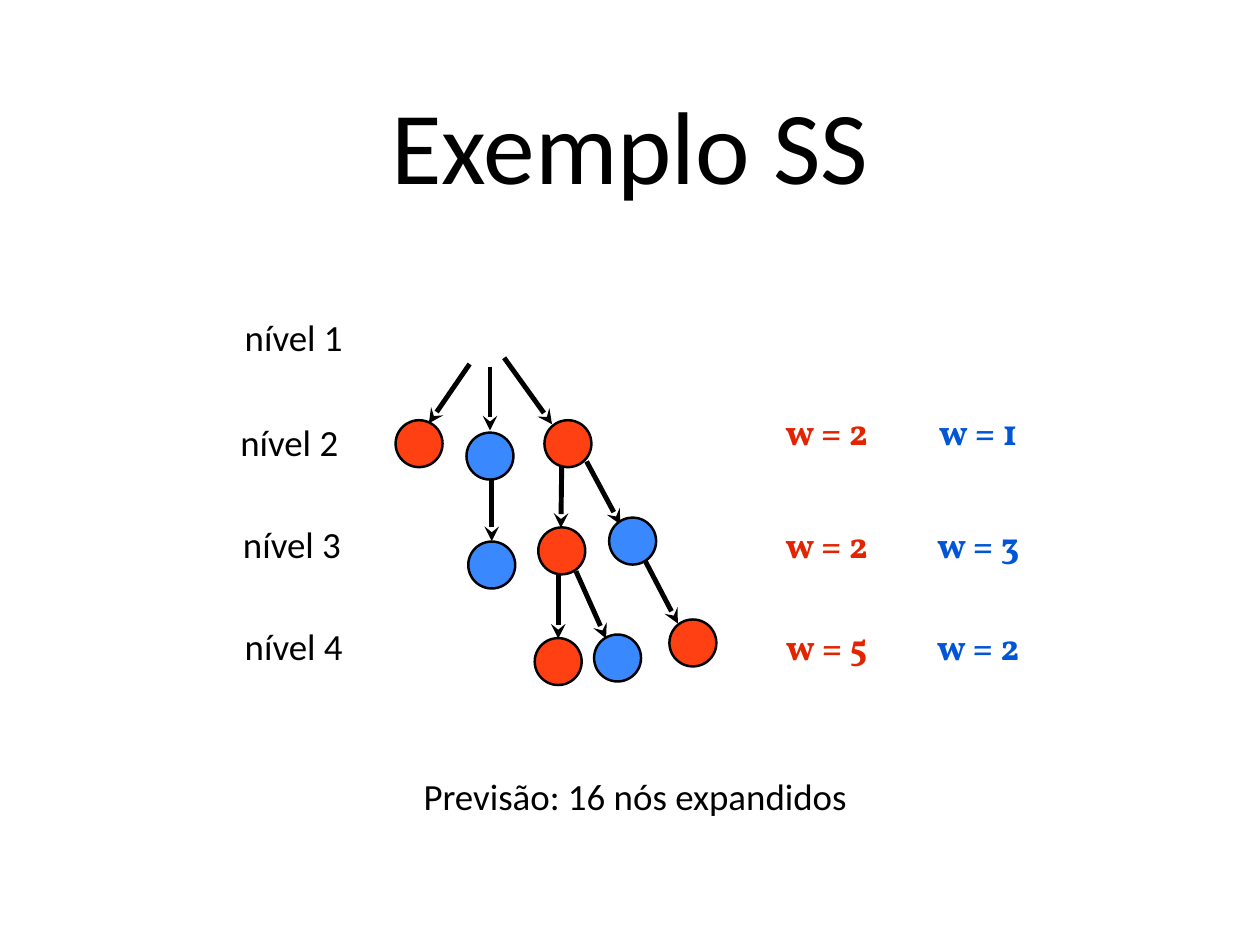
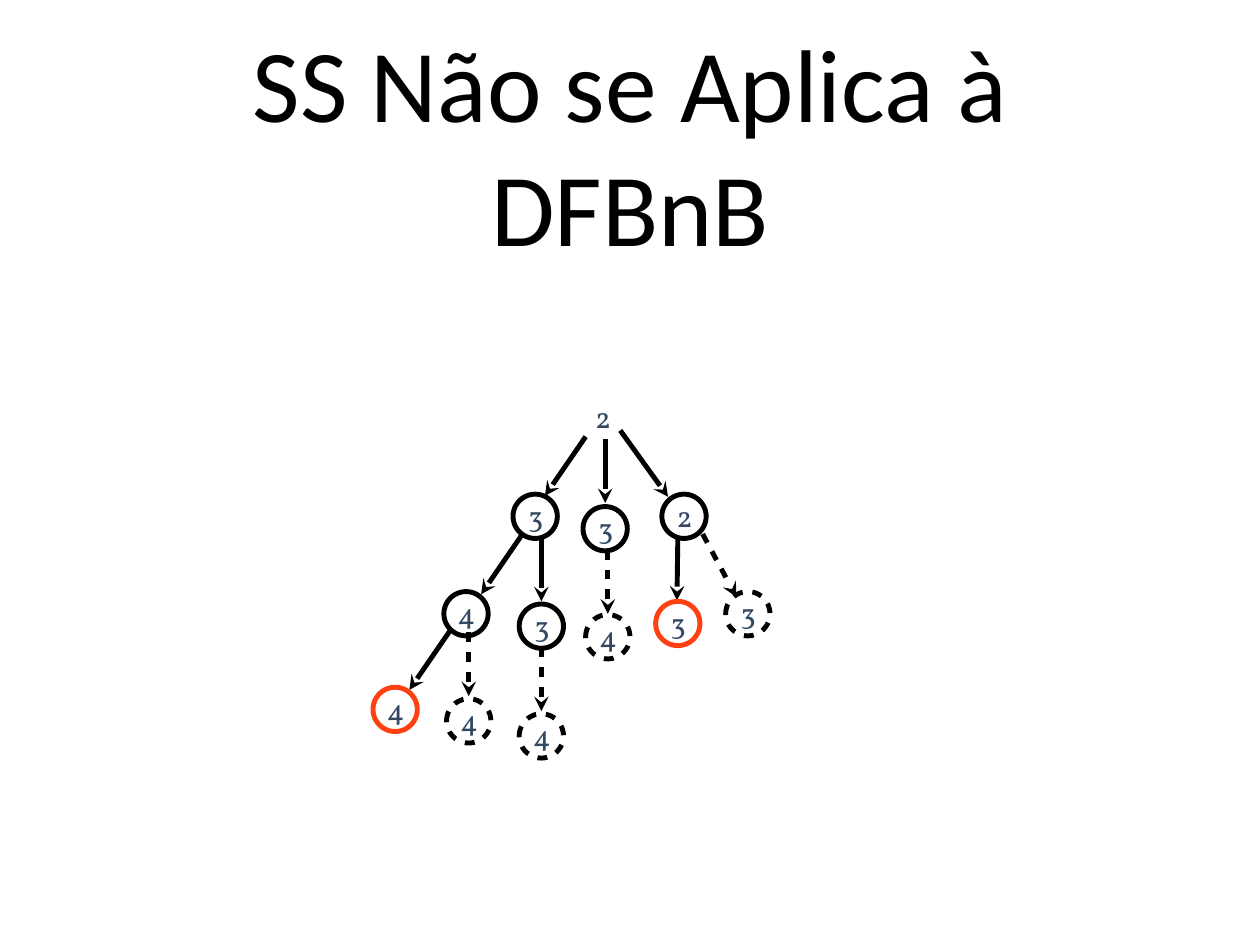
from collections import namedtuple

from pptx import Presentation
from pptx.dml.color import RGBColor
from pptx.enum import shapes, text
from pptx.oxml import ns
from pptx.oxml.xmlchemy import OxmlElement
from pptx.util import Inches, Pt


class Theme:
    black, red, blue = "000000", "FF4013", "3A88FE"
    dark_red, dark_blue, digit = "E32400", "0056D6", "324863"
    sans, serif = "Calibri", "Vollkorn"
    title, body, small = 84, 30, 24
    edge, outline = 4, 2
    node = 0.5


# One tree node with the arrow that leads to it
Node = namedtuple("Node", "x y start tip colour label dashed", defaults=(Theme.black, None, False))


def add_text(slide, words, left, top, width, height, size=Theme.body, font=Theme.sans,
             colour=Theme.black, bold=False, wrap=False, inset=0):
    tf = slide.shapes.add_textbox(Inches(left), Inches(top), Inches(width), Inches(height)).text_frame
    tf.margin_left = tf.margin_right = tf.margin_top = tf.margin_bottom = Inches(inset)
    tf.word_wrap = wrap
    tf.auto_size = text.MSO_AUTO_SIZE.NONE if wrap else text.MSO_AUTO_SIZE.SHAPE_TO_FIT_TEXT
    tf.vertical_anchor = text.MSO_ANCHOR.MIDDLE
    p = tf.paragraphs[0]
    p.alignment = text.PP_ALIGN.CENTER
    r = p.add_run()
    r.text = words
    r.font.name, r.font.size, r.font.bold = font, Pt(size), bold
    r.font.color.rgb = RGBColor.from_string(colour)


def style_line(sp, colour, width, dashed=False, arrow=False):
    """Outline a shape or connector; dashes and gaps are two line widths long."""
    sp.line.color.rgb = RGBColor.from_string(colour)
    sp.line.width = Pt(width)
    ln = sp.element.spPr.find(ns.qn("a:ln"))
    if dashed:
        dash = OxmlElement("a:custDash")
        stop = OxmlElement("a:ds")
        stop.set("d", "200000")
        stop.set("sp", "200000")
        dash.append(stop)
        ln.append(dash)
    if arrow:
        tail = OxmlElement("a:tailEnd")
        tail.set("type", "stealth")
        ln.append(tail)


sampled_tree = [
    Node(4.73, 5.01, (5.3, 4.11), (4.84, 4.78), Theme.red),
    Node(5.53, 5.15, (5.53, 4.14), (5.53, 4.86), Theme.blue),
    Node(6.41, 5.01, (5.69, 4.04), (6.23, 4.79), Theme.red),
    Node(5.55, 6.38, (5.55, 5.39), (5.55, 6.11), Theme.blue),
    Node(6.34, 6.22, (6.34, 5.24), (6.33, 5.96), Theme.red),
    Node(7.14, 6.11, (6.62, 5.21), (7, 5.92), Theme.blue),
    Node(6.3, 7.47, (6.3, 6.49), (6.3, 7.21), Theme.red),
    Node(6.97, 7.43, (6.5, 6.45), (6.84, 7.21), Theme.blue),
    Node(7.82, 7.26, (7.28, 6.33), (7.65, 7.04), Theme.red),
]
search_tree = [
    Node(6.04, 5.83, (6.61, 4.93), (6.15, 5.6), label="3"),
    Node(5.26, 6.93, (5.89, 6.04), (5.43, 6.71), label="4"),
    Node(4.46, 8.01, (5.08, 7.12), (4.62, 7.79), Theme.red, "4"),
    Node(6.11, 7.07, (6.11, 6.07), (6.11, 6.79), label="3"),
    Node(6.83, 5.97, (6.83, 4.96), (6.83, 5.68), label="3"),
    Node(7.72, 5.83, (7, 4.86), (7.54, 5.61), label="2"),
    Node(6.11, 8.31, (6.11, 7.31), (6.11, 8.03), label="4", dashed=True),
    Node(6.86, 7.19, (6.86, 6.21), (6.86, 6.93), label="4", dashed=True),
    Node(7.65, 7.04, (7.65, 6.06), (7.64, 6.78), Theme.red, "3"),
    Node(8.44, 6.93, (7.93, 6.03), (8.31, 6.74), label="3", dashed=True),
    Node(5.29, 8.14, (5.29, 7.14), (5.29, 7.86), label="4", dashed=True),
]

prs = Presentation()
prs.slide_width, prs.slide_height = Inches(14.22), Inches(10.67)

slides = []
for title, tree in (("Exemplo SS", sampled_tree), ("SS Não se Aplica à DFBnB", search_tree)):
    s = prs.slides.add_slide(prs.slide_layouts[6])
    slides.append(s)
    add_text(s, title, 1.39, 0.28, 11.44, 2.67, size=Theme.title, wrap=True, inset=0.06)

    for node in tree:
        ends = [Inches(v) for v in node.start + node.tip]
        arrow = s.shapes.add_connector(shapes.MSO_CONNECTOR.STRAIGHT, *ends)
        style_line(arrow, Theme.black, Theme.edge, node.dashed, arrow=True)
        arrow.element.spPr.append(OxmlElement("a:effectLst"))

    for node in tree:
        # Filled nodes carry a thin outline just outside the disc
        size = Theme.node if node.label else Theme.node + 0.03
        sp = s.shapes.add_shape(shapes.MSO_SHAPE.OVAL, Inches(node.x - size / 2),
                                Inches(node.y - size / 2), Inches(size), Inches(size))
        sp.shadow.inherit = False
        if node.label:
            sp.fill.background()
            style_line(sp, node.colour, Theme.edge, node.dashed)
            add_text(s, node.label, node.x - 0.14, node.y - 0.29, 0.29, 0.56,
                     size=Theme.small, font=Theme.serif, colour=Theme.digit)
        else:
            sp.fill.solid()
            sp.fill.fore_color.rgb = RGBColor.from_string(node.colour)
            style_line(sp, Theme.black, Theme.outline)

example, search = slides

# Level names and the weights of each level
for level, (left, top) in enumerate([(2.66, 3.47), (2.61, 4.65), (2.64, 5.81), (2.66, 6.96)], 1):
    add_text(example, f"nível {level}", left, top, 1.31, 0.67)
for top, red_weight, blue_weight in ((4.53, 2, 1), (5.81, 2, 3), (6.96, 5, 2)):
    for left, weight, colour in ((8.76, red_weight, Theme.dark_red), (10.47, blue_weight, Theme.dark_blue)):
        add_text(example, f"w = {weight}", left, top, 1.14, 0.67,
                 font=Theme.serif, colour=colour, bold=True)
add_text(example, "Previsão: 16 nós expandidos", 4.28, 8.65, 5.78, 0.67)

# Root of the search tree
add_text(search, "2", 6.66, 4.42, 0.29, 0.56, size=Theme.small, font=Theme.serif, colour=Theme.digit)

prs.save("out.pptx")
